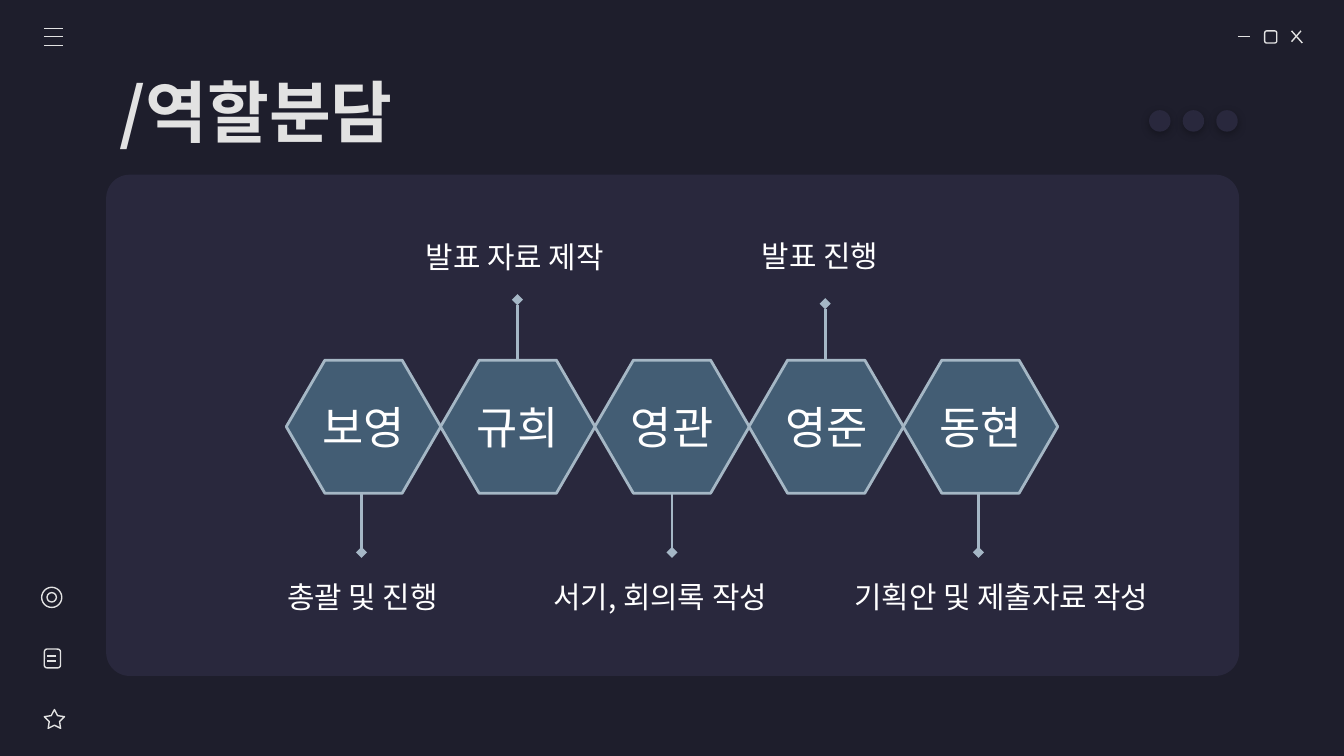
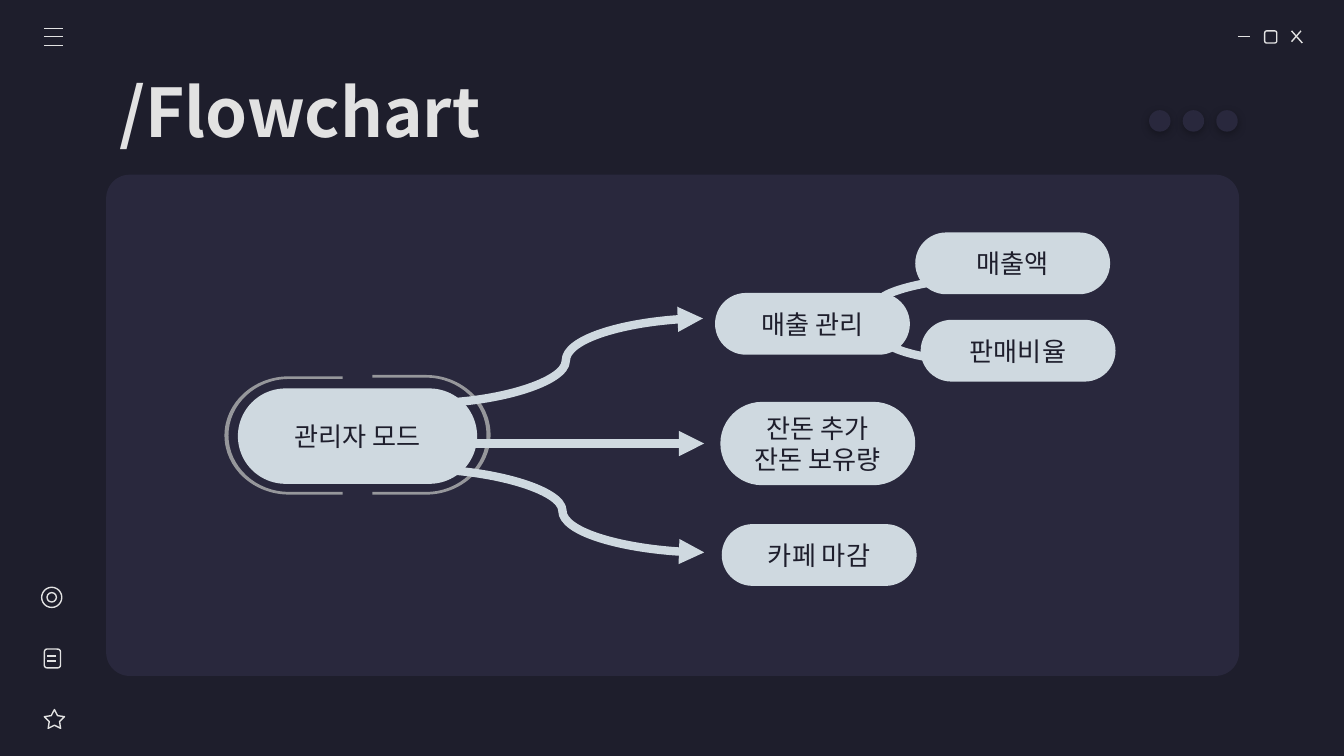
from lxml import etree
from pptx import Presentation
from pptx.dml.color import RGBColor
from pptx.enum import shapes, text
from pptx.oxml import ns
from pptx.util import Inches, Pt

NIGHT = RGBColor(0x1E, 0x1E, 0x2C)
PANEL = RGBColor(0x29, 0x28, 0x3D)
PALE = RGBColor(0xE2, 0xE2, 0xE2)
STEEL = RGBColor(0x43, 0x5D, 0x74)
EDGE = RGBColor(0xA5, 0xB7, 0xC5)
STEM = RGBColor(0xA5, 0xB7, 0xC6)
MIST = RGBColor(0xCF, 0xD9, 0xE0)
GREY = RGBColor(0x96, 0x97, 0x9B)
WHITE = RGBColor(0xFF, 0xFF, 0xFF)
FACE = "Noto Sans CJK KR"
KIND = shapes.MSO_SHAPE
LINK = shapes.MSO_CONNECTOR


def node(parent, tag, **attrs):
    """Add a DrawingML child element."""
    return etree.SubElement(parent, ns.qn("a:" + tag), attrs)


def dress(shape, fill=None, edge=None, width=0.75):
    """Set fill and outline and drop the shadow."""
    shape.shadow.inherit = False
    if fill is None:
        shape.fill.background()
    else:
        shape.fill.solid()
        shape.fill.fore_color.rgb = fill
    if edge is None:
        shape.line.fill.background()
    else:
        shape.line.color.rgb = edge
        shape.line.width = Pt(width)
    return shape


def block(slide, kind, box, fill=None, edge=None, adj=None):
    """Add a preset shape in a box."""
    shape = slide.shapes.add_shape(kind, *map(Inches, box))
    if adj is not None:
        shape.adjustments[0] = adj
    return dress(shape, fill, edge)


def outline(slide, points, fill, edge=None, width=0.75):
    """Add a closed polygon."""
    spots = [(Inches(x), Inches(y)) for x, y in points]
    pen = slide.shapes.build_freeform(*spots[0])
    pen.add_line_segments(spots[1:], close=True)
    return dress(pen.convert_to_shape(), fill, edge, width)


def bend(shape, starts):
    """Merge three segments from each start into one cubic curve."""
    parts = list(shape._element.iter(ns.qn("a:lnTo")))
    for start in starts:
        first, *rest = parts[start:start + 3]
        curve = etree.Element(ns.qn("a:cubicBezTo"))
        first.addprevious(curve)
        for part in (first, *rest):
            curve.append(part[0])
            part.getparent().remove(part)


def stroke(slide, ends, color=PALE, width=0.75, tip=None, kind=LINK.STRAIGHT):
    """Add a connector with an optional tip."""
    link = slide.shapes.add_connector(kind, *map(Inches, ends))
    link.line.color.rgb = color
    link.line.width = Pt(width)
    prop = link._element.spPr
    if tip:
        node(prop.find(ns.qn("a:ln")), "tailEnd", type=tip)
    node(prop, "effectLst")


def write(shape, words, size, color, inset=0.1, bold=None,
          align=text.PP_ALIGN.CENTER):
    """Put styled text into a shape."""
    frame = shape.text_frame
    look = {"word_wrap": True, "vertical_anchor": text.MSO_ANCHOR.MIDDLE}
    for side in ("left", "right", "top", "bottom"):
        look["margin_" + side] = Inches(inset)
    for key, value in look.items():
        setattr(frame, key, value)
    para = frame.paragraphs[0]
    para.text = words
    para.alignment = align
    for run in para.runs:
        for key, value in {"size": Pt(size), "name": FACE, "bold": bold}.items():
            setattr(run.font, key, value)
        run.font.color.rgb = color
        node(run._r.get_or_add_rPr(), "ea", typeface=FACE)


def title(slide, box, words):
    """Write the slide title."""
    area = slide.shapes.add_textbox(*map(Inches, box))
    write(area, words, 36, PALE, bold=True, align=text.PP_ALIGN.LEFT)


def label(slide, box, words):
    """Write a left-aligned caption."""
    area = slide.shapes.add_textbox(*map(Inches, box))
    write(area, words, 16, WHITE, align=text.PP_ALIGN.LEFT)
    frame = area.text_frame
    frame.margin_top = frame.margin_bottom = Inches(0.05)
    frame.vertical_anchor = text.MSO_ANCHOR.TOP
    frame.auto_size = text.MSO_AUTO_SIZE.SHAPE_TO_FIT_TEXT


def controls(slide, x, y):
    """Draw the window buttons."""
    stroke(slide, (x, y + 0.04, x + 0.09, y + 0.04))
    block(slide, KIND.ROUNDED_RECTANGLE, (x + 0.2, y, 0.09, 0.09), edge=PALE)
    stroke(slide, (x + 0.4, y, x + 0.48, y + 0.09))
    stroke(slide, (x + 0.47, y, x + 0.4, y + 0.08))


def menu(slide, x, y):
    """Draw the three menu bars."""
    for drop in (0, 0.06, 0.13):
        stroke(slide, (x, y + drop, x + 0.14, y + drop))


def icons(slide, x, y):
    """Draw the target, note and star icons."""
    block(slide, KIND.OVAL, (x, y, 0.15, 0.15), edge=PALE)
    block(slide, KIND.OVAL, (x + 0.04, y + 0.04, 0.07, 0.07), edge=PALE)
    block(slide, KIND.ROUNDED_RECTANGLE, (x + 0.02, y + 0.46, 0.12, 0.14), edge=PALE)
    for drop in (0.51, 0.55):
        stroke(slide, (x + 0.04, y + drop, x + 0.11, y + drop))
    block(slide, KIND.STAR_5_POINT, (x + 0.02, y + 0.91, 0.15, 0.14), edge=PALE, adj=0.254)


def dots(slide, x, y):
    """Draw three dots with a soft shadow."""
    for i in range(3):
        dot = block(slide, KIND.OVAL, (x + 0.25 * i, y, 0.16, 0.16), PANEL)
        glow = node(dot._element.spPr.find(ns.qn("a:effectLst")), "outerShdw",
                    blurRad=str(Pt(4.5)), dist=str(Pt(1.5)), dir="5400000",
                    algn="bl", rotWithShape="0")
        node(node(glow, "srgbClr", val="000000"), "alpha", val="30000")


def page(deck, words):
    """Add a slide with the shared window frame."""
    slide = deck.slides.add_slide(deck.slide_layouts[6])
    slide.background.fill.solid()
    slide.background.fill.fore_color.rgb = NIGHT
    block(slide, KIND.ROUNDED_RECTANGLE, (0.79, 1.3, 8.43, 3.73), PANEL, adj=0.047)
    controls(slide, 9.21, 0.23)
    menu(slide, 0.33, 0.21)
    icons(slide, 0.31, 4.37)
    title(slide, (0.79, 0.51, 8.43, 0.63), words)
    dots(slide, 8.55, 0.82)
    return slide


def member(slide, box, name, stem):
    """Draw a named hexagon on its stem."""
    x, y, w, h = box
    stroke(slide, stem, STEM, 1.5, "diamond")
    cut, mid = w / 4, y + h / 2
    points = [(x + cut, y), (x, mid), (x + cut, y + h),
              (x + w - cut, y + h), (x + w, mid), (x + w - cut, y)]
    write(outline(slide, points, STEEL, EDGE, 1.5), name, 24, WHITE, 0.13)


def roles(slide, x, y):
    """Draw the row of members and their tasks."""
    team = [
        ("보영", 2.69, 3.64, 4.11, "총괄 및 진행", 2.04, 4.26, 2.5),
        ("규희", 3.85, 2.7, 2.23, "발표 자료 제작", 3.07, 1.73, 2.5),
        ("영관", 5, 3.64, 4.11, "서기, 회의록 작성", 4.02, 4.26, 2.5),
        ("영준", 6.14, 2.73, 2.26, "발표 진행", 5.57, 1.72, 2.5),
        ("동현", 7.28, 3.64, 4.11, "기획안 및 제출자료 작성", 6.26, 4.26, 2.7),
    ]
    for i, (name, at, start, end, task, left, top, wide) in enumerate(team):
        box = (x + 4.59 / 4 * i, y, 1.15, 0.99)
        member(slide, box, name, (at, start, at, end))
        label(slide, (left, top, wide, 0.37), task)


def pill(slide, box, words):
    """Draw a rounded flowchart step."""
    shape = block(slide, KIND.ROUNDED_RECTANGLE, box, MIST, adj=0.5)
    write(shape, words, 14, NIGHT)


def arc(slide, box, way):
    """Draw a half ring that opens left or right."""
    x, y, w, h = box
    flat, thick, pull = 0.4, 0.02, 0.55
    tip = x if way > 0 else x + w
    hub, mid = tip + way * flat, y + h / 2

    def rim(rx, ry):
        """List the ends and curve handles of one edge."""
        near, far = hub + way * rx * pull, hub + way * rx
        upper = [(tip, mid - ry), (hub, mid - ry), (near, mid - ry),
                 (far, mid - ry * pull)]
        lower = [(px, 2 * mid - py) for px, py in reversed(upper)]
        return [*upper, (far, mid), *lower]

    outer = rim(w - flat, h / 2)
    inner = rim(w - flat - 0.03, h / 2 - thick)
    bend(outline(slide, outer + inner[::-1], GREY), (1, 4, 10, 13))


def flow(slide):
    """Draw the manager mode flowchart."""
    def arrow(*ends, kind=LINK.CURVE):
        """Draw one thick arrow."""
        stroke(slide, ends, MIST, 4.5, "triangle", kind)

    arc(slide, (2.77, 2.79, 0.88, 0.89), 1)
    arrow(5.75, 2.3, 7.38, 2.7)
    arrow(5.47, 2.51, 7.56, 2.05)
    pill(slide, (1.77, 2.89, 1.78, 0.71), "관리자 모드")
    arrow(3.13, 3.49, 5.24, 4.11)
    arrow(3.19, 3, 5.23, 2.37)
    arrow(3.42, 3.3, 5.24, 3.3, kind=LINK.STRAIGHT)
    steps = [
        (5.32, 2.18, 0.46, "매출 관리"),
        (5.37, 3.9, 0.46, "카페 마감"),
        (5.36, 2.99, 0.62, "잔돈 추가\n잔돈 보유량"),
        (6.81, 1.73, 0.46, "매출액"),
        (6.85, 2.38, 0.46, "판매비율"),
    ]
    for x, y, h, words in steps:
        pill(slide, (x, y, 1.45, h), words)
    arc(slide, (1.67, 2.8, 0.88, 0.88), -1)


def main():
    """Build and save the deck."""
    deck = Presentation()
    deck.slide_width, deck.slide_height = Inches(10), Inches(5.625)
    roles(page(deck, "/역할분담"), 2.13, 2.68)
    flow(page(deck, "/Flowchart"))
    deck.save("out.pptx")


main()
